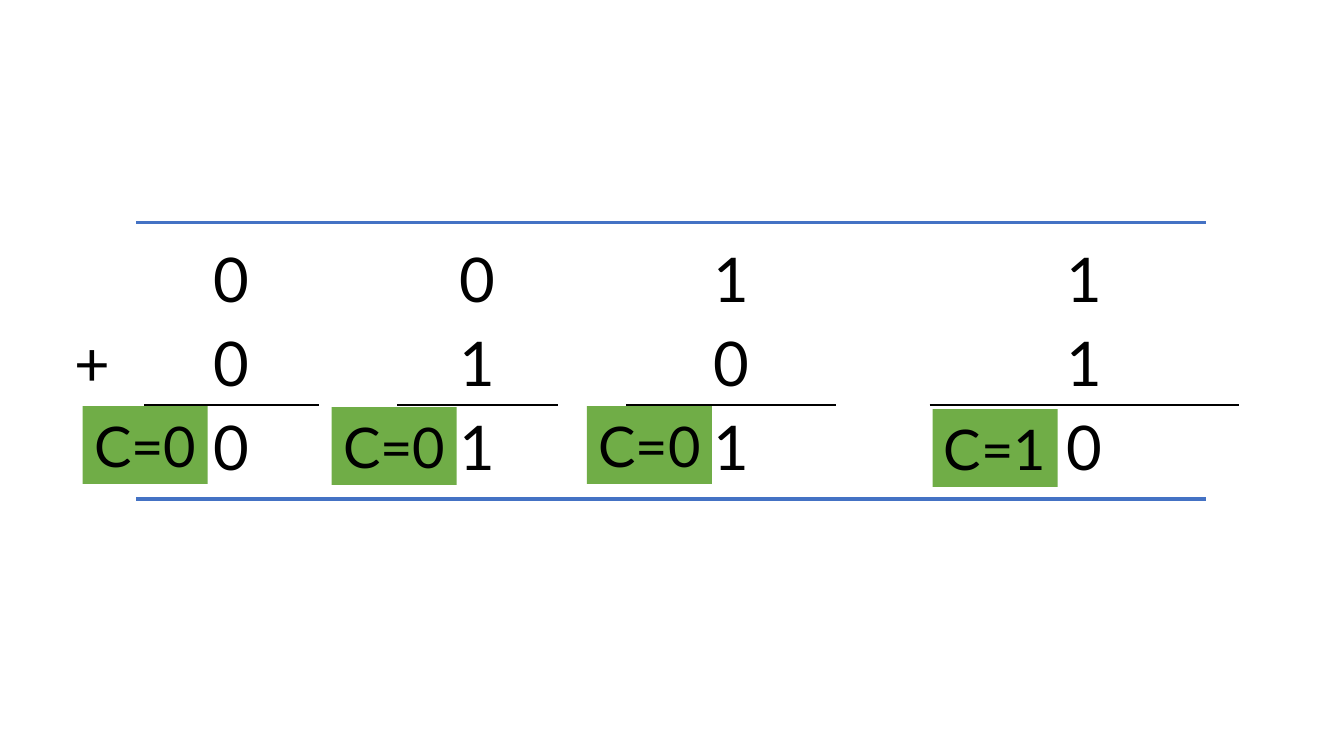
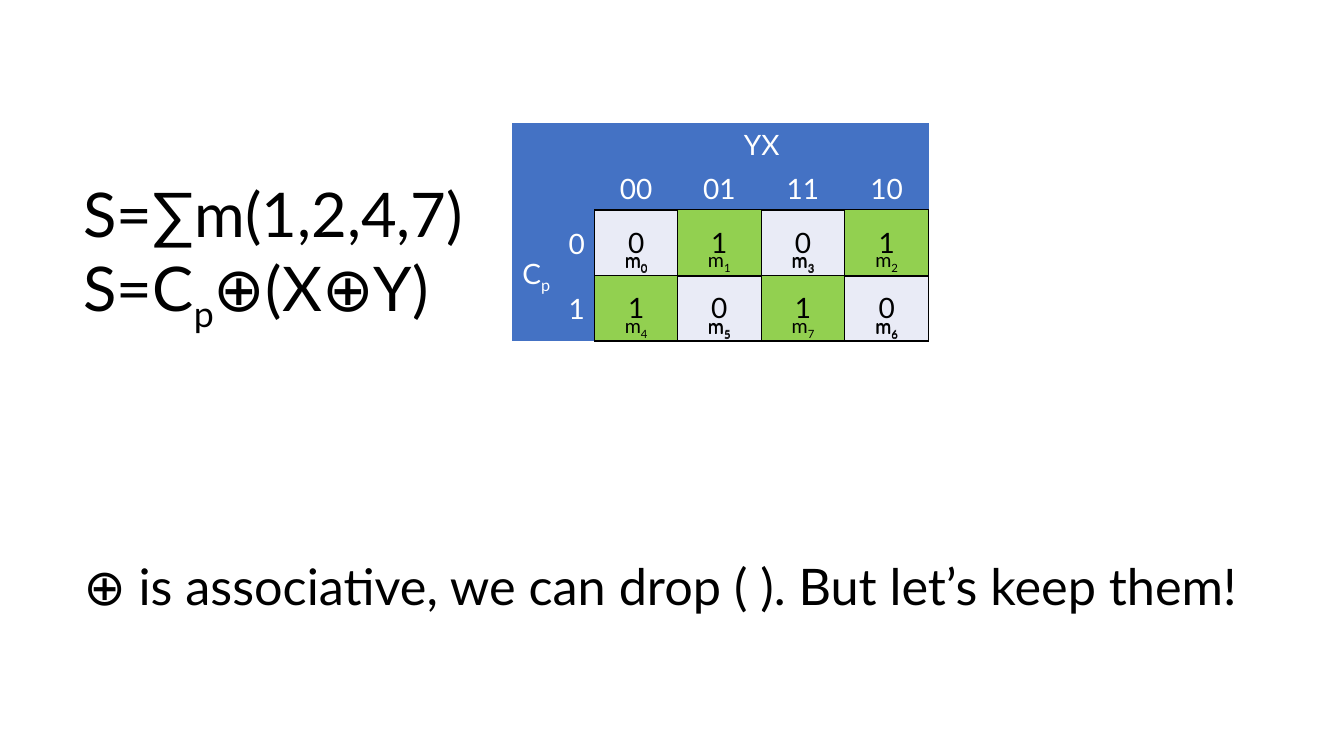
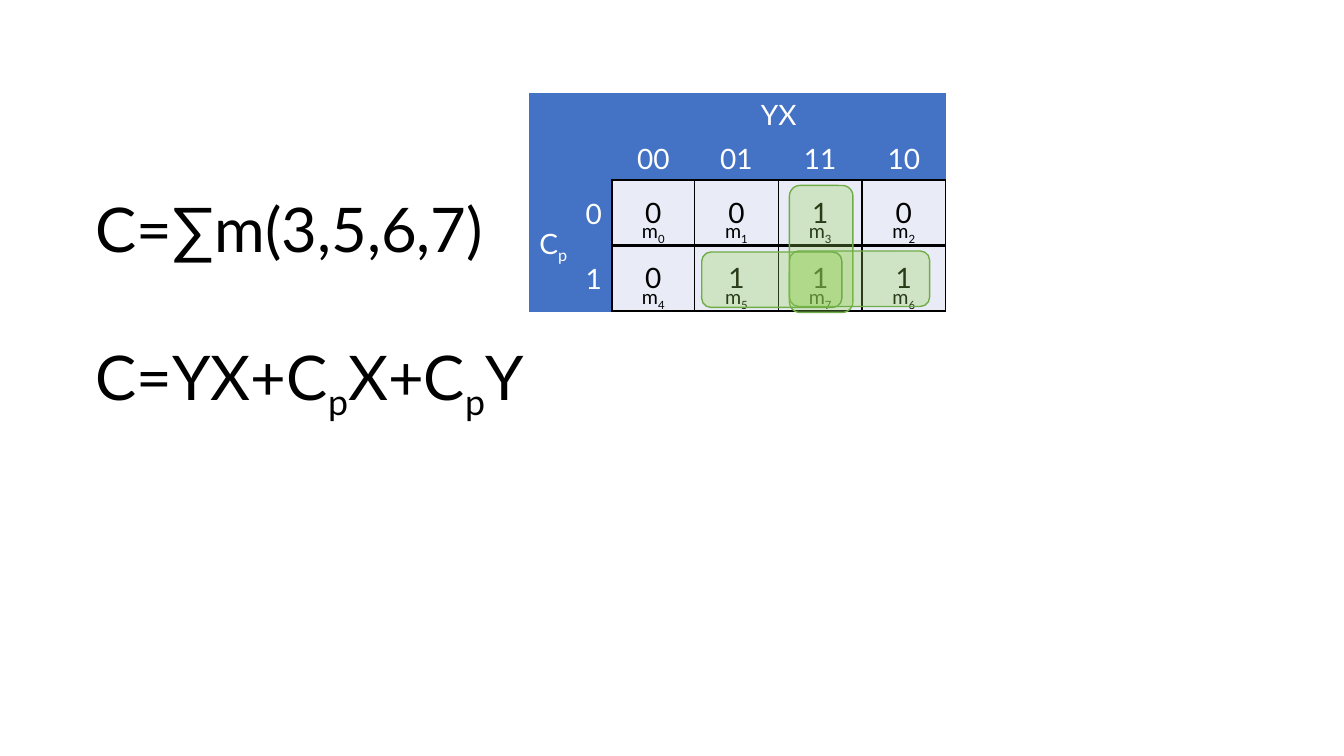
import pptx
import pptx.util
import pptx.dml.color
import pptx.enum.shapes
import pptx.enum.text
import pptx.oxml.ns
from lxml import etree

Inches = pptx.util.Inches
Pt = pptx.util.Pt
RGB = pptx.dml.color.RGBColor
ALIGN = pptx.enum.text.PP_ALIGN
ANCHOR = pptx.enum.text.MSO_ANCHOR
SHAPE = pptx.enum.shapes.MSO_SHAPE
qn = pptx.oxml.ns.qn

BLACK = RGB(0x00, 0x00, 0x00)
WHITE = RGB(0xFF, 0xFF, 0xFF)
BLUE = RGB(0x44, 0x72, 0xC4)
GREEN = RGB(0x70, 0xAD, 0x47)
LIME = RGB(0x92, 0xD0, 0x50)
PALE = RGB(0xE9, 0xEB, 0xF6)
FONT = "Lato"
PLAIN = "{2D5ABB26-0587-4C30-8999-92F81FD0307C}"  # no style, no grid

GRAY = [0, 1, 3, 2]
MAP_COLS = [0.82, 0.83, 0.83, 0.83]
MAP_ROWS = [0.65, 0.65]
SIDE_COLS = [0.43, 0.39]
HEAD_ROWS = [0.43, 0.43]


def add_runs(para, text, size, color=BLACK):
    """Add text run by run; parts between tildes are subscripts."""
    for i, part in enumerate(text.split("~")):
        if not part:
            continue
        run = para.add_run()
        run.text = part
        run.font.name = FONT
        run.font.size = Pt(size)
        run.font.color.rgb = color
        if i % 2:
            run._r.get_or_add_rPr().set("baseline", "-25000")


def add_text(slide, left, top, width, height, lines):
    """Add a box of (text, size, space before) lines."""
    box = slide.shapes.add_textbox(
        Inches(left), Inches(top), Inches(width), Inches(height))
    frame = box.text_frame
    frame.word_wrap = False
    frame.auto_size = pptx.enum.text.MSO_AUTO_SIZE.SHAPE_TO_FIT_TEXT
    for i, (text, size, gap) in enumerate(lines):
        para = frame.add_paragraph() if i else frame.paragraphs[0]
        if gap:
            para.space_before = Pt(gap)
        add_runs(para, text, size)


def add_shape(slide, kind, left, top, width, height, fill):
    shape = slide.shapes.add_shape(
        kind, Inches(left), Inches(top), Inches(width), Inches(height))
    shape.shadow.inherit = False
    shape.fill.solid()
    shape.fill.fore_color.rgb = fill
    shape.line.fill.background()
    return shape


def add_carry(slide, left, top, text):
    shape = add_shape(slide, SHAPE.RECTANGLE, left, top, 1.24, 0.77, GREEN)
    frame = shape.text_frame
    frame.word_wrap = False
    frame.auto_size = pptx.enum.text.MSO_AUTO_SIZE.SHAPE_TO_FIT_TEXT
    frame.paragraphs[0].alignment = ALIGN.CENTER
    add_runs(frame.paragraphs[0], text, 40)


def add_loop(slide, left, top, width, height):
    """Add a see-through ring around a group of ones."""
    shape = add_shape(slide, SHAPE.ROUNDED_RECTANGLE,
                      left, top, width, height, LIME)
    color = shape.fill._xPr.find(qn("a:solidFill"))[0]
    etree.SubElement(color, qn("a:alpha")).set("val", "29000")
    shape.line.color.rgb = GREEN
    shape.line.width = Pt(1)


def add_rule(slide, left, right, top):
    line = slide.shapes.add_connector(
        pptx.enum.shapes.MSO_CONNECTOR.STRAIGHT,
        Inches(left), Inches(top), Inches(right), Inches(top))
    line.line.color.rgb = BLUE
    line.line.width = Pt(2.5)
    etree.SubElement(line._element.spPr, qn("a:effectLst"))


def add_grid(slide, left, top, cols, rows):
    """Add an empty table without any style."""
    grid = slide.shapes.add_table(
        len(rows), len(cols), Inches(left), Inches(top),
        Inches(sum(cols)), Inches(sum(rows))).table
    grid.first_row = grid.horz_banding = False
    grid._tbl.tblPr.find(qn("a:tableStyleId")).text = PLAIN
    for col, width in zip(grid.columns, cols):
        col.width = Inches(width)
    for row, height in zip(grid.rows, rows):
        row.height = Inches(height)
    return grid


def set_cell(cell, text="", size=20, color=BLACK, fill=None, edges="",
             align=ALIGN.CENTER, anchor=ANCHOR.MIDDLE):
    """Fill a cell; edges names its drawn sides out of L, R, T, B."""
    props = cell._tc.get_or_add_tcPr()
    for side in "LRTB":
        if side in edges:
            line = etree.SubElement(props, qn("a:ln" + side), w="12700")
            solid = etree.SubElement(line, qn("a:solidFill"))
            etree.SubElement(solid, qn("a:srgbClr"), val=str(BLACK))
    if fill is None:
        cell.fill.background()
    else:
        cell.fill.solid()
        cell.fill.fore_color.rgb = fill
    cell.vertical_anchor = anchor
    para = cell.text_frame.paragraphs[0]
    para.alignment = align
    add_runs(para, text, size, color)


def set_term(cell, term, fill=None):
    """Write a minterm name at the foot of a cell."""
    cell.margin_bottom = 0
    set_cell(cell, f"m~{term}~", 14, fill=fill, edges="LRTB",
             anchor=ANCHOR.BOTTOM)


def list_terms():
    """Yield row, column and minterm number of each map cell."""
    for row in range(2):
        for col, code in enumerate(GRAY):
            yield row, col, 4 * row + code


def add_frame(slide, left, top):
    """Add the map with its headings and minterm names."""
    grid = add_grid(slide, left, top, SIDE_COLS + MAP_COLS,
                    HEAD_ROWS + MAP_ROWS)
    grid.cell(0, 2).merge(grid.cell(0, 5))
    grid.cell(2, 0).merge(grid.cell(3, 0))
    for row in range(2):
        for col in range(2):
            set_cell(grid.cell(row, col), fill=BLUE)
        set_cell(grid.cell(row + 2, 1), str(row), color=WHITE, fill=BLUE,
                 edges="R", align=ALIGN.RIGHT)
    set_cell(grid.cell(0, 2), "YX", color=WHITE, fill=BLUE,
             anchor=ANCHOR.BOTTOM)
    for col, code in enumerate(GRAY):
        set_cell(grid.cell(1, col + 2), f"{code:02b}", color=WHITE,
                 fill=BLUE, edges="B", anchor=ANCHOR.BOTTOM)
    grid.cell(2, 0).margin_right = 0
    set_cell(grid.cell(2, 0), "C~p~", color=WHITE, fill=BLUE,
             align=ALIGN.LEFT)
    for row, col, term in list_terms():
        set_term(grid.cell(row + 2, col + 2), term, PALE)


def add_values(slide, left, top, ones, mark=None):
    """Lay the values over a map framed at left, top."""
    grid = add_grid(slide, left + sum(SIDE_COLS), top + sum(HEAD_ROWS),
                    MAP_COLS, MAP_ROWS)
    for row, col, term in list_terms():
        one = term in ones
        set_cell(grid.cell(row, col), str(int(one)),
                 fill=mark if one else None, edges="LRTB")


def add_names(slide, left, top):
    """Lay the minterm names over the marked values."""
    grid = add_grid(slide, left + sum(SIDE_COLS), top + sum(HEAD_ROWS),
                    MAP_COLS, MAP_ROWS)
    for row, col, term in list_terms():
        set_term(grid.cell(row, col), term)


def draw_sums(slide):
    cols = [1.03, 1.73, 0.78, 1.59, 0.68, 2.08, 0.93, 3.07]
    rows = [" 0 0 1 1", "+0 1 0 1", " 0 1 1 0"]
    edges = ["", "B", "T"]
    grid = add_grid(slide, 0.4, 2.35, cols, [0.83] * 3)
    for r, row in enumerate(rows):
        for c, text in enumerate(row):
            set_cell(grid.cell(r, c), text.strip(), 44,
                     edges=edges[r] if c % 2 else "", anchor=ANCHOR.TOP)
    for top in (4.95, 2.21):
        add_rule(slide, 1.35, 11.96, top)
    for left, top, carry in [(9.25, 4.06, 1), (5.82, 4.03, 0),
                             (3.29, 4.04, 0), (0.82, 4.03, 0)]:
        add_carry(slide, left, top, f"C={carry}")


def draw_sum_map(slide):
    add_text(slide, 0.73, 1.7, 11.92, 4.41, [
        ("S=∑m(1,2,4,7)", 44, 0),
        ("S=C~p~⊕(X⊕Y)", 44, 0),
        ("⊕ is associative, we can drop ( ). But let’s keep them!", 36, 158),
    ])
    spot = 5.08, 1.22
    add_frame(slide, *spot)
    add_values(slide, *spot, {1, 2, 4, 7}, LIME)
    add_names(slide, *spot)


def draw_carry_map(slide):
    spot = 5.25, 0.92
    add_frame(slide, *spot)
    add_text(slide, 0.85, 1.84, 4.51, 2.36, [
        ("C=∑m(3,5,6,7)", 44, 0),
        ("C=YX+C~p~X+C~p~Y", 44, 53),
    ])
    add_values(slide, *spot, {3, 5, 6, 7})
    add_loop(slide, 7.83, 1.84, 0.63, 1.26)
    add_loop(slide, 7.83, 2.49, 1.39, 0.55)
    add_loop(slide, 6.96, 2.5, 1.39, 0.55)


def main():
    deck = pptx.Presentation()
    deck.slide_width = Inches(13.33)
    deck.slide_height = Inches(7.5)
    for draw in (draw_sums, draw_sum_map, draw_carry_map):
        draw(deck.slides.add_slide(deck.slide_layouts[6]))
    deck.save("out.pptx")


if __name__ == "__main__":
    main()
